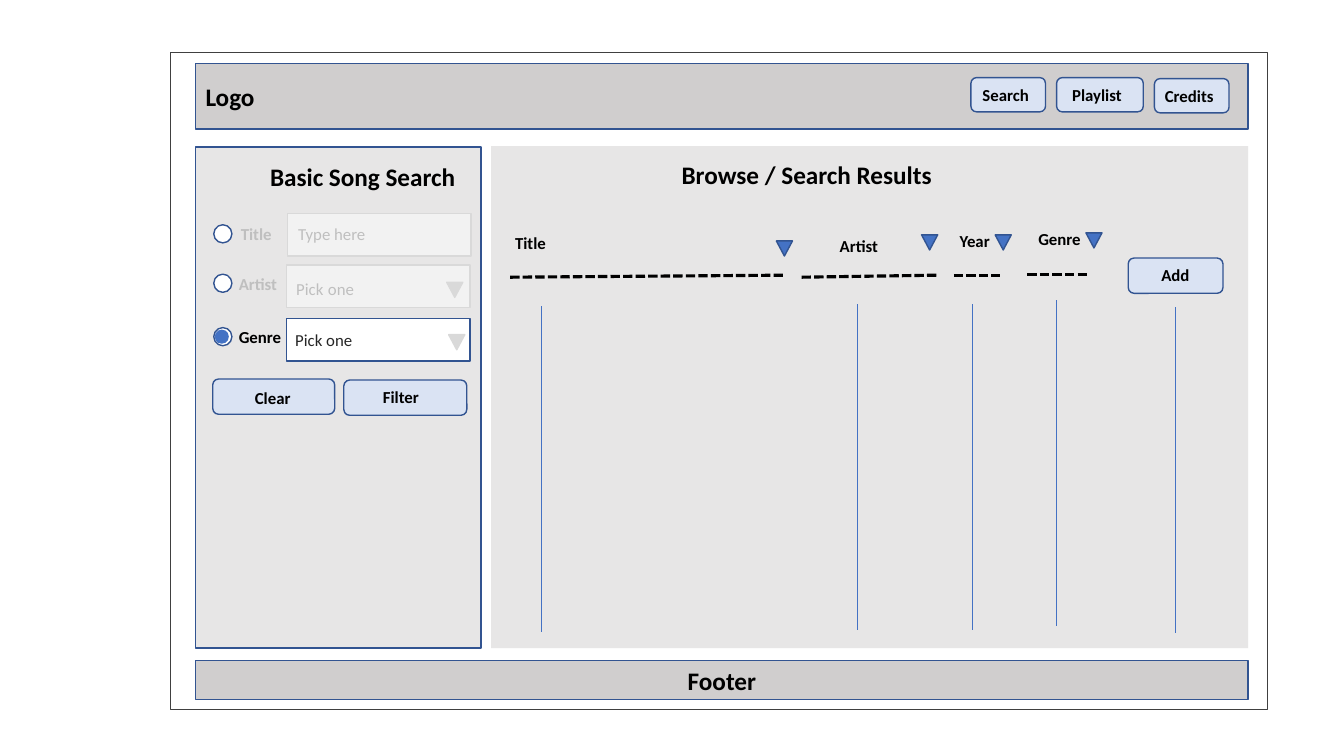
from lxml import etree
from pptx import Presentation
from pptx import util as u
from pptx.dml import color
from pptx.enum import dml, shapes, text
from pptx.oxml import ns

COLORS = {
    "black": "000000", "ink": "262626", "frame": "404040", "white": "FFFFFF",
    "bar": "D0CECE", "panel": "E7E6E6", "button": "DAE3F3", "edge": "325491",
    "accent": "4472C4", "muted": "BFBFBF", "field": "F2F2F2", "muted_edge": "D9D9D9",
}
KIND = shapes.MSO_SHAPE
ALIGN = text.PP_ALIGN

prs = Presentation()
prs.slide_width, prs.slide_height = u.Inches(13.33), u.Inches(7.5)
slide = prs.slides.add_slide(prs.slide_layouts[5])
page = slide.shapes


def draw(parent, kind, at, fill=None, edge=None):
    """Add a preset shape with a flat fill and a 1 pt outline."""
    drawn = parent.add_shape(kind, *map(u.Inches, at))
    drawn.shadow.inherit = False
    if fill:
        drawn.fill.solid()
        drawn.fill.fore_color.rgb = color.RGBColor.from_string(COLORS[fill])
    else:
        drawn.fill.background()
    if edge:
        drawn.line.color.rgb = color.RGBColor.from_string(COLORS[edge])
        drawn.line.width = u.Pt(1)
    else:
        drawn.line.fill.background()
    return drawn


def write(holder, runs, align=ALIGN.LEFT, bold=True, **frame_format):
    """Fill a shape with runs given as (wording, size, colour)."""
    frame = holder.text_frame
    for name, value in {"word_wrap": True, **frame_format}.items():
        setattr(frame, name, value)
    paragraph = frame.paragraphs[0]
    paragraph.alignment = align
    for wording, size, ink in runs:
        run = paragraph.add_run()
        run.text = wording
        for name, value in {"name": "Calibri", "size": u.Pt(size), "bold": bold}.items():
            setattr(run.font, name, value)
        run.font.color.rgb = color.RGBColor.from_string(COLORS[ink])


# Page frame, header, footer and the two panels
draw(page, KIND.RECTANGLE, (1.69, 0.52, 10.88, 6.52), edge="frame")
for wording, top, height, align in [("Logo", 0.63, 0.65, ALIGN.LEFT),
                                    ("Footer", 6.55, 0.39, ALIGN.CENTER)]:
    bar = draw(page, KIND.RECTANGLE, (1.94, top, 10.44, height), "bar", "edge")
    write(bar, [(wording, 18, "black")], align, vertical_anchor=text.MSO_ANCHOR.MIDDLE)
draw(page, KIND.RECTANGLE, (1.94, 1.46, 2.83, 4.97), "panel", "edge")
draw(page, KIND.RECTANGLE, (4.87, 1.45, 7.51, 4.98), "panel")

# Panel headings: the results heading is the slide title, raised above its panel
results_title = page.title
for name, value in zip(("left", "top", "width", "height"), (6.66, 1.53, 2.7, 0.4)):
    setattr(results_title, name, u.Inches(value))
results_title.element.getparent().append(results_title.element)
write(results_title, [("Browse / Search Results", 18, "black")], word_wrap=False,
      auto_size=text.MSO_AUTO_SIZE.NONE, vertical_anchor=text.MSO_ANCHOR.TOP)
search_heading = page.add_textbox(*map(u.Inches, (2.58, 1.55, 2.61, 0.4)))
write(search_heading, [("Basic Song Search", 18, "black")])

# Search criteria: radio button, name, field and prompt; only Genre is active
criteria = [
    ("Title", 2.29, 2.17, 2.23, (2.85, 2.12), (2.86, 2.17),
     [("Type here", 12, "muted")], None, False),
    ("Artist", 2.27, 2.67, 2.72, (2.84, 2.63), (2.84, 2.69),
     [("Pick", 12, "muted"), (" ", 14, "ink"), ("one", 12, "muted")], (4.43, 2.8), False),
    ("Genre", 2.27, 3.19, 3.25, (2.84, 3.16), (2.83, 3.22),
     [("Pick one", 12, "ink")], (4.45, 3.32), True),
]
for name, left, top, radio_top, field_at, prompt_at, prompt, arrow_at, active in criteria:
    draw(page, KIND.RECTANGLE, (*field_at, 1.82, 0.42),
         "white" if active else "field", "edge" if active else "muted_edge")
    if arrow_at:
        arrow = draw(page, KIND.ISOSCELES_TRIANGLE, (*arrow_at, 0.16, 0.15),
                     "muted_edge", "muted_edge")
        arrow.rotation = 180
    criterion = page.add_textbox(*map(u.Inches, (left, top, 0.87, 0.3)))
    write(criterion, [(name, 12, "black" if active else "muted")])
    prompt_box = page.add_textbox(*map(u.Inches, (*prompt_at, 1.23, 0.3)))
    write(prompt_box, prompt, bold=False)
    radio = page.add_group_shape().shapes if active else page
    draw(radio, KIND.OVAL, (2.12, radio_top, 0.18, 0.18), "white", "edge")
    if active:
        draw(radio, KIND.OVAL, (2.13, radio_top + 0.02, 0.14, 0.14), "accent")

# Buttons: outline, then the left, top and width of the caption
buttons = [
    ("Search", (9.63, 0.77, 0.74, 0.34), (9.63, 0.79, 0.69), ALIGN.CENTER),
    ("Playlist", (10.48, 0.77, 0.86, 0.34), (10.48, 0.79, 0.8), ALIGN.CENTER),
    ("Credits", (11.45, 0.78, 0.74, 0.34), (11.45, 0.8, 0.69), ALIGN.CENTER),
    ("Clear", (2.11, 3.76, 1.21, 0.35), (2.2, 3.8, 1.01), ALIGN.CENTER),
    ("Filter", (3.41, 3.77, 1.22, 0.35), (3.7, 3.79, 1.07), ALIGN.LEFT),
    ("Add", (11.19, 2.56, 0.94, 0.35), (11.42, 2.58, 0.6), ALIGN.LEFT),
]
for wording, outline, caption_at, align in buttons:
    button = page.add_group_shape().shapes
    draw(button, KIND.ROUNDED_RECTANGLE, outline, "button", "edge")
    caption = button.add_textbox(*map(u.Inches, (*caption_at, 0.3)))
    write(caption, [(wording, 12, "black")], align)

# Result columns: heading and its sort arrow
columns = [
    ("Title", (5.01, 2.26, 1.05), (7.7, 2.39)),
    ("Artist", (8.23, 2.29, 1.05), (9.14, 2.33)),
    ("Year", (9.42, 2.24, 0.66), (9.87, 2.33)),
    ("Genre", (10.2, 2.22, 0.66), (10.77, 2.31)),
]
for wording, heading_at, arrow_at in columns:
    heading = page.add_textbox(*map(u.Inches, (*heading_at, 0.3)))
    write(heading, [(wording, 12, "black")])
    sort_arrow = draw(page, KIND.ISOSCELES_TRIANGLE, (*arrow_at, 0.16, 0.15), "accent", "edge")
    sort_arrow.rotation = 180

# Dashed heading rules and thin column guides
heading_rules = [(5.06, 2.75, 7.78, 2.73), (7.95, 2.75, 9.29, 2.73),
                 (9.46, 2.73, 9.92, 2.73), (10.19, 2.72, 10.8, 2.72)]
guides = [(x, top, x, top + 3.23) for x, top in
          [(5.37, 3.04), (8.5, 3.02), (9.64, 3.02), (10.48, 2.98), (11.66, 3.05)]]
for ends, ink, width, dash in [
        *((ends, "black", 2.25, dml.MSO_LINE.SQUARE_DOT) for ends in heading_rules),
        *((ends, "accent", 0.5, None) for ends in guides)]:
    rule = page.add_connector(shapes.MSO_CONNECTOR.STRAIGHT, *map(u.Inches, ends))
    rule.line.color.rgb = color.RGBColor.from_string(COLORS[ink])
    for name, value in {"width": u.Pt(width), "dash_style": dash}.items():
        setattr(rule.line, name, value)
    etree.SubElement(rule.element.spPr, ns.qn("a:effectLst"))

prs.save("out.pptx")
